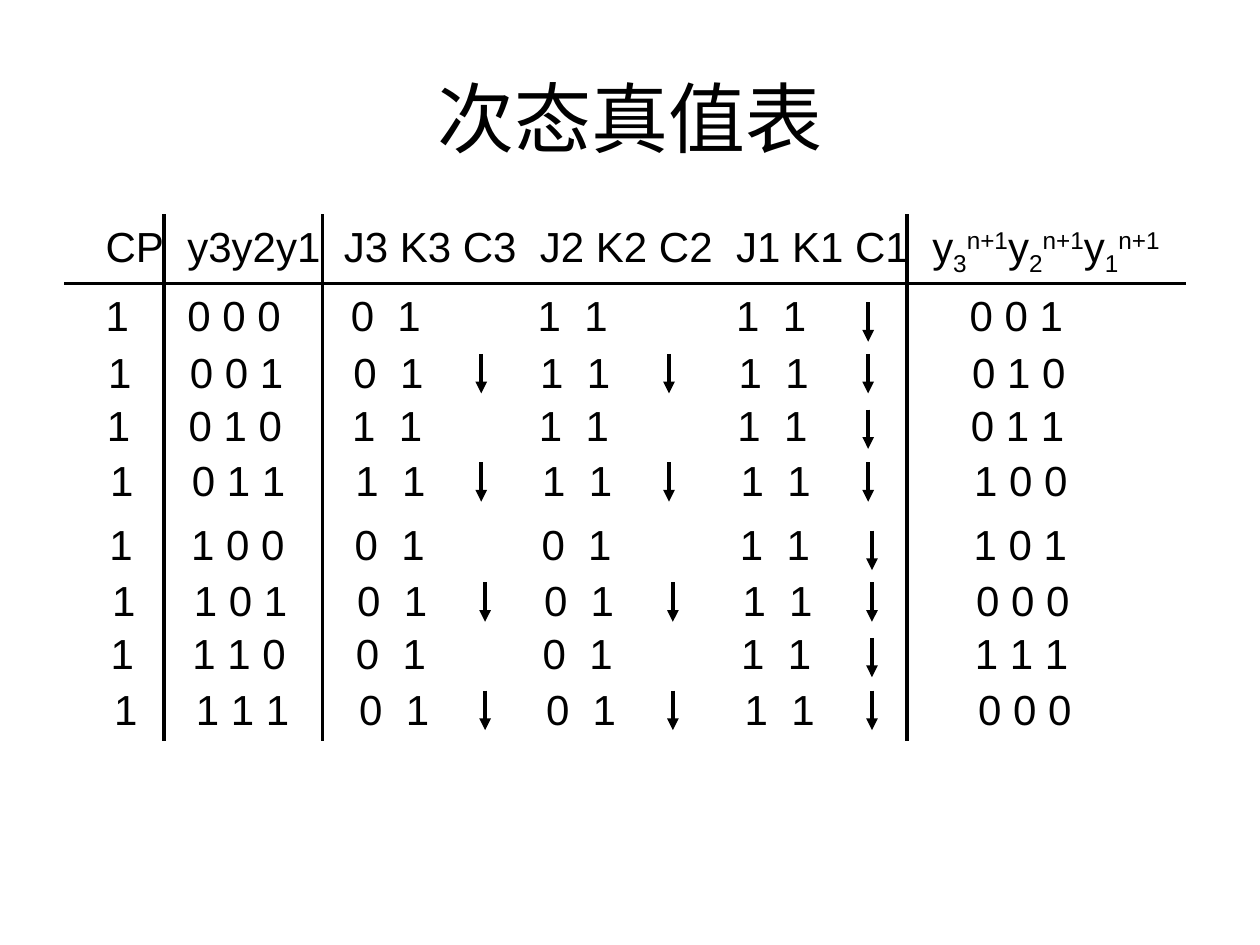
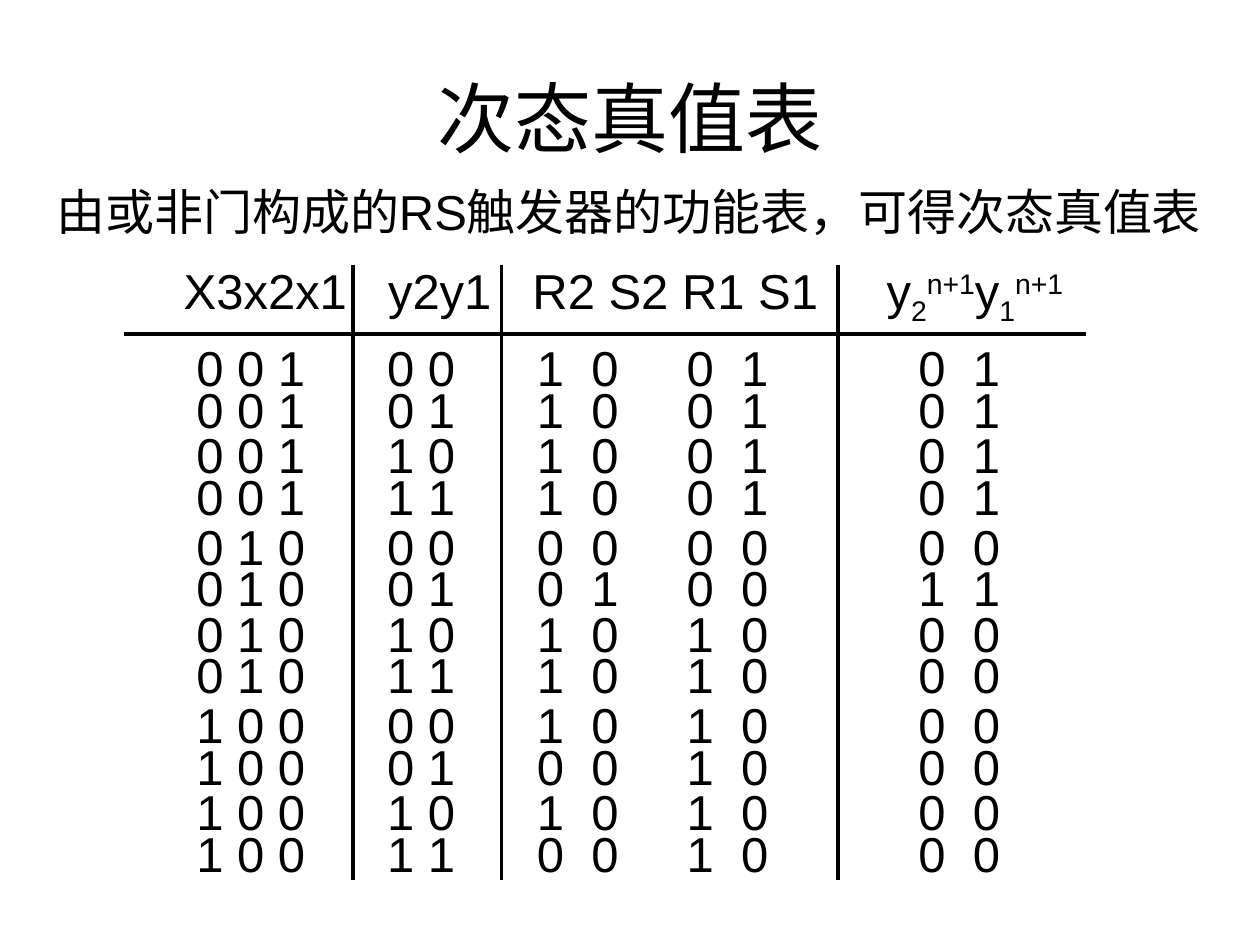
import dataclasses
import pptx
import pptx.dml.color
import pptx.enum.shapes
import pptx.enum.text
import pptx.oxml.ns
import pptx.util
from lxml import etree

Pt = pptx.util.Pt
ALIGN = pptx.enum.text.PP_ALIGN
ANCHOR = pptx.enum.text.MSO_ANCHOR
qn = pptx.oxml.ns.qn


@dataclasses.dataclass(frozen=True)
class Theme:
    """Colours, font and sizes that both slides share."""
    ink: pptx.dml.color.RGBColor = pptx.dml.color.RGBColor(0, 0, 0)
    font: str = "Arial"
    title: int = 44
    lead: int = 28
    rule: float = 2.25
    space: float = 0.278


THEME = Theme()
TITLE = "次态真值表"

JK = {
    "box": (36.7, 122.4, 640.8, 301),
    "size": 24,
    "head": ["CP", "y3y2y1", "J3 K3 C3", "J2 K2 C2", "J1 K1 C1"],
    "next": "321",
    "head_at": (16.6, 0, 626),
    "head_tabs": (7, 20.4, 37.2, 54, 70.8),
    "rows": ["1,000,0,1,1,1,1,1,001", "1,001,0,1,1,1,1,1,010",
             "1,010,1,1,1,1,1,1,011", "1,011,1,1,1,1,1,1,100",
             "1,100,0,1,0,1,1,1,101", "1,101,0,1,0,1,1,1,000",
             "1,110,0,1,0,1,1,1,111", "1,111,0,1,0,1,1,1,000"],
    "row_at": (16.6, 39.6, 576),
    "row_tabs": (7, 21, 25, 37, 41, 54, 58, 74),
    "steps": ((0, 0), (1.44, 32.4), (0.72, 62.6), (2.6, 94.3)),
    "block": (2.2, 130.5),
    "bar": 39.6,
    "posts": (56.9, 147.6, 481.7),
}

RS = {
    "box": (70.6, 151.2, 550, 351.4),
    "size": 28,
    "head": ["X3x2x1", "y2y1", "R2 S2 R1 S1"],
    "next": "21",
    "head_at": (27.3, -5.8, 530),
    "head_tabs": (15, 25.6, 51.6),
    "rows": ["001,00,1,0,0,1,0,1", "001,01,1,0,0,1,0,1",
             "001,10,1,0,0,1,0,1", "001,11,1,0,0,1,0,1",
             "010,00,0,0,0,0,0,0", "010,01,0,1,0,0,1,1",
             "010,10,1,0,1,0,0,0", "010,11,1,0,1,0,0,0",
             "100,00,1,0,1,0,0,0", "100,01,0,0,1,0,0,0",
             "100,10,1,0,1,0,0,0", "100,11,0,0,1,0,0,0"],
    "row_at": (34.5, 38.2, 486),
    "row_tabs": (14, 25, 29, 36, 40, 53, 57),
    "steps": ((0, 0), (0, 23.9), (0, 49.8), (0, 73.4)),
    "block": (0, 102),
    "bar": 39.6,
    "posts": (131, 216, 408.2),
}


def apply(item, values):
    """Set each named value on the item."""
    for name, value in values.items():
        setattr(item, name, value)


def text(slide, box, runs, size, tabs=(), align=ALIGN.LEFT, **frame):
    """Write one line of (words, baseline) runs with tab stops in points."""
    shape = slide.shapes.add_textbox(*map(Pt, box))
    apply(shape.text_frame, {"word_wrap": True, **frame})
    para = shape.text_frame.paragraphs[0]
    para.alignment = align
    if tabs:
        stops = etree.SubElement(para._p.get_or_add_pPr(), qn("a:tabLst"))
        for stop in tabs:
            etree.SubElement(stops, qn("a:tab"), pos=str(int(Pt(stop))), algn="l")
    for words, base in runs:
        run = para.add_run()
        run.text = words
        apply(run.font, {"size": Pt(size), "name": THEME.font})
        run.font.color.rgb = THEME.ink
        if base:
            run._r.get_or_add_rPr().set("baseline", str(base * 1000))


def line(slide, start, end, arrow=False):
    """Draw a straight line, with an arrowhead at its end if asked."""
    kind = pptx.enum.shapes.MSO_CONNECTOR.STRAIGHT
    rule = slide.shapes.add_connector(kind, *map(Pt, (*start, *end)))
    rule.line.width = Pt(THEME.rule)
    rule.line.color.rgb = THEME.ink
    if arrow:
        etree.SubElement(rule.line._get_or_add_ln(), qn("a:tailEnd"), type="triangle")
    etree.SubElement(rule._element.spPr, qn("a:effectLst"))


def title(slide, box):
    """Write the shared title, centred in its box."""
    text(slide, box, [(TITLE, 0)], THEME.title, align=ALIGN.CENTER,
         vertical_anchor=ANCHOR.MIDDLE)


def grid(slide, table):
    """Set header, rows and rules of a truth table within its box."""
    left, top, width, height = table["box"]
    size = table["size"]

    def place(spot, tabs, runs, shift=(0, 0)):
        """Set one tabbed line, its stops counted in word spaces."""
        x, y, wide = spot
        box = (left + x + shift[0], top + y + shift[1], wide, size * 1.5)
        text(slide, box, runs, size, [n * size * THEME.space for n in tabs])

    head = [("\t".join(table["head"]) + "\t", 0)]
    for digit in table["next"]:
        head += [("y", 0), (digit, -25), ("n+1", 30)]
    place(table["head_at"], table["head_tabs"], head)
    for index, row in enumerate(table["rows"]):
        block, step = divmod(index, 4)
        shift = [a + block * b for a, b in zip(table["steps"][step], table["block"])]
        cells = "\t".join(" ".join(cell) for cell in row.split(","))
        place(table["row_at"], table["row_tabs"], [(cells, 0)], shift)
    bar = top + table["bar"]
    line(slide, (left, bar), (left + width, bar))
    for post in table["posts"]:
        line(slide, (left + post, top), (left + post, top + height))


def clocks(slide, box):
    """Draw the falling clock edges, all three on every second row."""
    left, top = box[:2]
    for block in range(2):
        for step, drop in enumerate((50.4, 79.9, 111.6, 141.8)):
            for post in (238.3, 345.6, 459.4)[0 if step % 2 else 2:]:
                x = left + post + block * JK["block"][0]
                y = top + drop + block * JK["block"][1]
                line(slide, (x, y), (x, y + 22.5), arrow=True)


def main():
    """Build both slides and save them."""
    deck = pptx.Presentation()
    apply(deck, {"slide_width": Pt(720), "slide_height": Pt(540)})
    for table in (JK, RS):
        slide = deck.slides.add_slide(deck.slide_layouts[6])
        title(slide, (36, 21.6, 648, 90))
        grid(slide, table)
        if table is JK:
            clocks(slide, table["box"])
        else:
            lead = "由或非门构成的RS触发器的功能表，可得次态真值表"
            text(slide, (25.2, 100, 681.8, 41), [(lead, 0)], THEME.lead,
                 word_wrap=False)
    deck.save("out.pptx")


if __name__ == "__main__":
    main()
